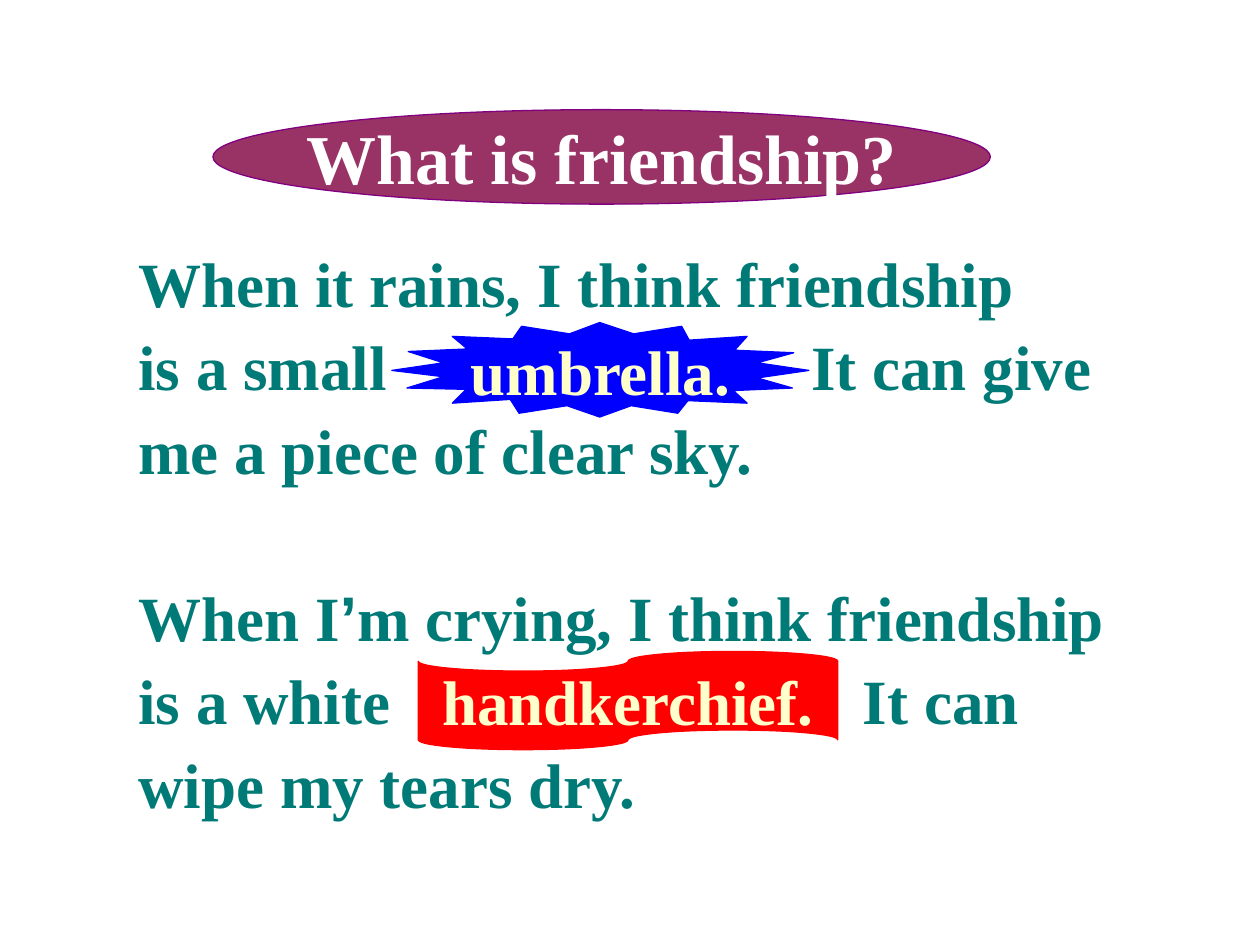
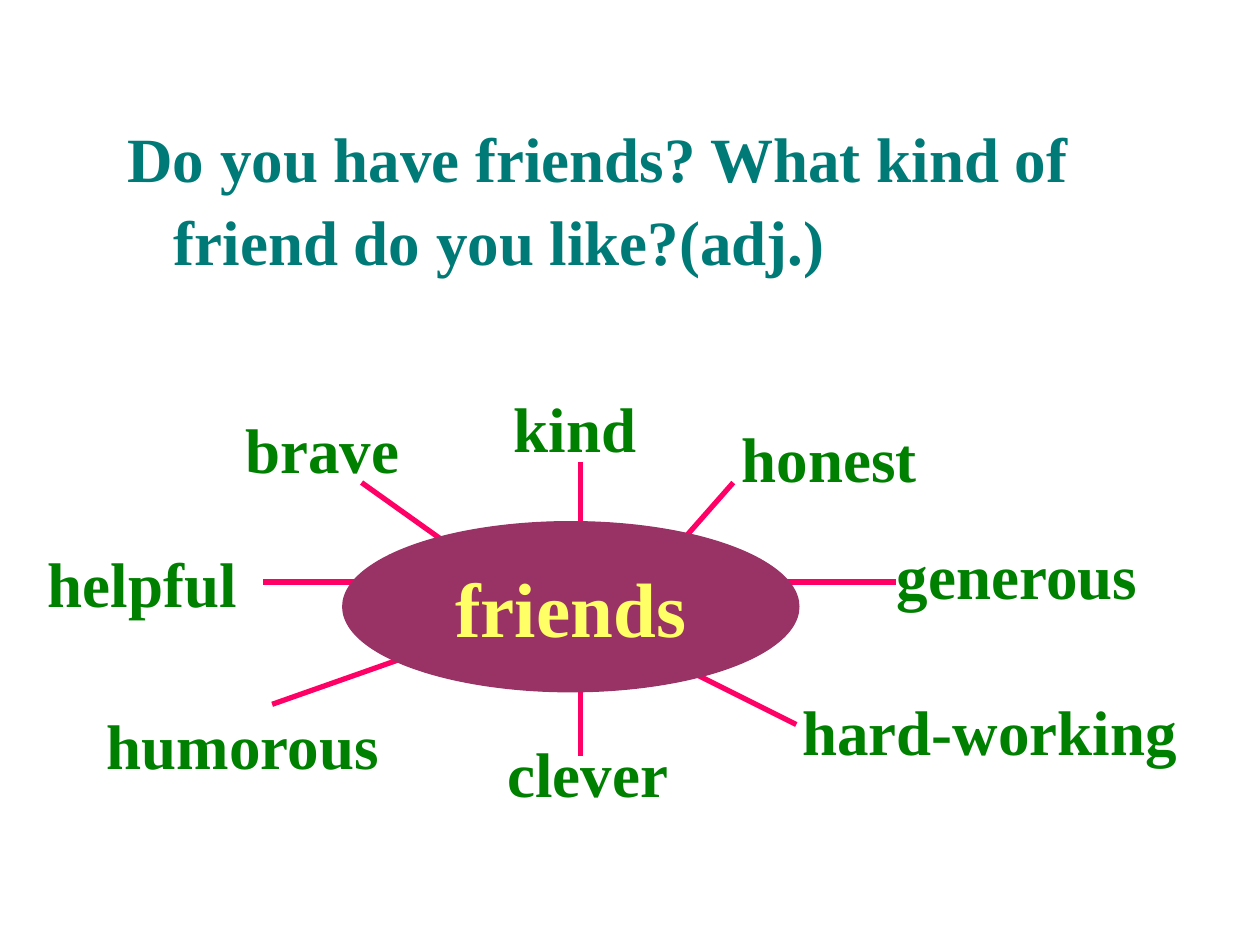
from lxml import etree
from pptx import Presentation
from pptx.dml.color import RGBColor
from pptx.enum.shapes import MSO_CONNECTOR, MSO_SHAPE
from pptx.enum.text import MSO_ANCHOR, MSO_AUTO_SIZE, PP_ALIGN
from pptx.oxml.ns import qn
from pptx.util import Inches, Pt

OVAL, TAPE = MSO_SHAPE.OVAL, MSO_SHAPE.FLOWCHART_PUNCHED_TAPE
STRAIGHT = MSO_CONNECTOR.STRAIGHT
TOP, MIDDLE = MSO_ANCHOR.TOP, MSO_ANCHOR.MIDDLE
LEFT, CENTER = PP_ALIGN.LEFT, PP_ALIGN.CENTER
FIXED = MSO_AUTO_SIZE.NONE

# Shared look
TITLE_ONLY = 5
SERIF, SANS = "Times New Roman", "Arial"
TEAL, PLUM, PURPLE = "007A77", "993366", "800080"
GREEN, PINK, RED, BLUE = "008000", "FF0066", "FF0000", "0000FF"
WHITE, CREAM, YELLOW = "FFFFFF", "FFFFCC", "FFFF66"
BODY = {"size": 36, "color": TEAL}
WORD = {"size": 36, "color": GREEN}
LABEL = {"size": 36, "color": CREAM}
BANNER = {"size": 40, "color": WHITE}
HUB = {"size": 44, "color": YELLOW}
FRAME = {"auto_size": FIXED, "margin_left": Inches(0.1), "margin_right": Inches(0.1),
         "margin_top": Inches(0.05), "margin_bottom": Inches(0.05)}
LEAD = 1.2  # line height as a share of the text size

# Poem lines: text, space before in points, tab stop in inches
POEM = [
    ("When it rains, I think friendship", 0, None),
    ("is a small\tIt can give", 4.5, 5.34),
    ("me a piece of clear sky.", 4.5, None),
    ("When I’m crying, I think friendship", 52.2, None),
    ("is a white\tIt can", 4.5, 5.75),
    ("wipe my tears dry.", 4.5, None),
]

# Star outline, measured from the left and top of its box
STAR = [
    (0, .38), (.41, .43), (.12, .52), (.59, .53), (.48, .64), (.94, .61),
    (1.01, .72), (1.39, .66), (1.65, .75), (1.9, .66), (2.27, .72),
    (2.35, .62), (2.82, .64), (2.71, .54), (3.18, .52), (2.9, .44),
    (3.31, .38), (2.9, .32), (3.19, .24), (2.72, .22), (2.82, .11),
    (2.36, .14), (2.3, .03), (1.92, .09), (1.65, 0), (1.41, .09),
    (1.03, .03), (.96, .13), (.48, .11), (.6, .21), (.13, .23), (.41, .32),
]

# Spokes, from the hub's box: word, its left, top and width, line start and end
SPOKES = [
    ("kind", (1.26, -1.1, 1.17), (1.89, -.47), (1.89, .29)),
    ("honest", (3.07, -.86, 1.59), (3.1, -.31), (2.44, .44)),
    ("brave", (-.87, -.93, 1.42), (.15, -.31), (1.09, .36)),
    ("helpful", (-2.44, .13, 1.7), (-.63, .48), (.53, .48)),
    ("generous", (4.3, .07, 2.11), (3.22, .48), (4.39, .48)),
    ("humorous", (-1.97, 1.42, 2.36), (.86, .95), (-.56, 1.45)),
    ("clever", (1.21, 1.64, 1.75), (1.89, 1.11), (1.89, 1.86)),
    ("hard-working", (3.55, 1.31, 3.23), (2.44, 1.03), (3.6, 1.61)),
]


def rgb(code):
    return RGBColor.from_string(code)


def place(box):
    return [Inches(n) for n in box]


def frame(shape, **extra):
    """Format the text frame and return it."""
    tf = shape.text_frame
    for key, val in {**FRAME, **extra}.items():
        setattr(tf, key, val)
    return tf


def write(par, text, style, align=LEFT, lead=LEAD, before=0):
    """Fill a paragraph; a curly apostrophe is set in the sans font."""
    form = {"alignment": align, "line_spacing": Pt(style["size"] * lead),
            "space_before": Pt(before)}
    for key, val in form.items():
        setattr(par, key, val)
    head, mark, tail = text.partition("’")
    for part, face in ((head, SERIF), (mark, SANS), (tail, SERIF)):
        if part:
            run = par.add_run()
            run.text = part
            look = {"name": face, "size": Pt(style["size"]), "bold": True}
            for key, val in look.items():
                setattr(run.font, key, val)
            run.font.color.rgb = rgb(style["color"])


def paint(shape, fill, line):
    shape.shadow.inherit = False
    shape.fill.solid()
    shape.fill.fore_color.rgb = rgb(fill)
    shape.line.color.rgb = rgb(line)
    shape.line.width = Pt(0.75)


def label(shape, text, style):
    tf = frame(shape, word_wrap=False, vertical_anchor=MIDDLE)
    write(tf.paragraphs[0], text, style, CENTER)


def move(shape, box):
    shape.left, shape.top, shape.width, shape.height = place(box)


def indent(par, left, first):
    props = par._p.get_or_add_pPr()
    props.set("marL", str(Inches(left)))
    props.set("indent", str(Inches(first)))


def tab(par, pos):
    stops = etree.SubElement(par._p.get_or_add_pPr(), qn("a:tabLst"))
    etree.SubElement(stops, qn("a:tab"), pos=str(Inches(pos)), algn="l")


def banner(slide, box):
    """Oval with the slide title on top of it."""
    oval = slide.shapes.add_shape(OVAL, *place(box))
    paint(oval, PLUM, PURPLE)
    title = slide.shapes.title
    move(title, box)
    label(title, "What is friendship?", BANNER)
    oval._element.addnext(title._element)


def poem(slide, box):
    tf = frame(slide.shapes.add_textbox(*place(box)), word_wrap=True)
    for num, (text, before, stop) in enumerate(POEM):
        par = tf.add_paragraph() if num else tf.paragraphs[0]
        if stop:
            tab(par, stop)
        write(par, text, BODY, before=before)


def cloth(slide, box):
    shape = slide.shapes.add_shape(TAPE, *place(box))
    paint(shape, RED, RED)
    label(shape, "handkerchief.", LABEL)


def star(slide, left, top):
    pts = [(Inches(left + x), Inches(top + y)) for x, y in STAR]
    path = slide.shapes.build_freeform(*pts[0])
    path.add_line_segments(pts[1:], close=True)
    shape = path.convert_to_shape()
    paint(shape, BLUE, BLUE)
    label(shape, "umbrella.", LABEL)


def question(slide, box):
    title = slide.shapes.title
    move(title, box)
    par = frame(title, word_wrap=True, vertical_anchor=TOP).paragraphs[0]
    indent(par, 0.49, -0.37)
    write(par, "Do you have friends? What kind of friend do you like?(adj.)",
          BODY, lead=LEAD * 1.1)


def web(slide, box):
    """Words around a hub, with the lines running under the hub."""
    x, y = box[:2]
    for text, (dx, dy, wide), start, end in SPOKES:
        note = slide.shapes.add_textbox(*place((x + dx, y + dy, wide, 0.7)))
        tf = frame(note, word_wrap=True, margin_right=0)
        write(tf.paragraphs[0], text, WORD)
        ends = (x + start[0], y + start[1], x + end[0], y + end[1])
        line = slide.shapes.add_connector(STRAIGHT, *place(ends))
        line.line.color.rgb = rgb(PINK)
        line.line.width = Pt(3)
        etree.SubElement(line._element.spPr, qn("a:effectLst"))
    hub = slide.shapes.add_shape(OVAL, *place(box))
    paint(hub, PLUM, PLUM)
    label(hub, "friends", HUB)


def main():
    prs = Presentation()
    prs.slide_width, prs.slide_height = Inches(10), Inches(7.5)
    layout = prs.slide_layouts[TITLE_ONLY]

    # What friendship is
    slide = prs.slides.add_slide(layout)
    poem(slide, (1, 1.89, 8.25, 5.25))
    cloth(slide, (3.32, 5.17, 3.33, 0.78))
    star(slide, 3.11, 2.56)
    banner(slide, (1.69, 0.87, 6.17, 0.75))

    # What friends are like
    slide = prs.slides.add_slide(layout)
    question(slide, (0.79, 0.84, 8.43, 1.42))
    web(slide, (2.72, 4.14, 3.62, 1.35))

    prs.save("out.pptx")


if __name__ == "__main__":
    main()
